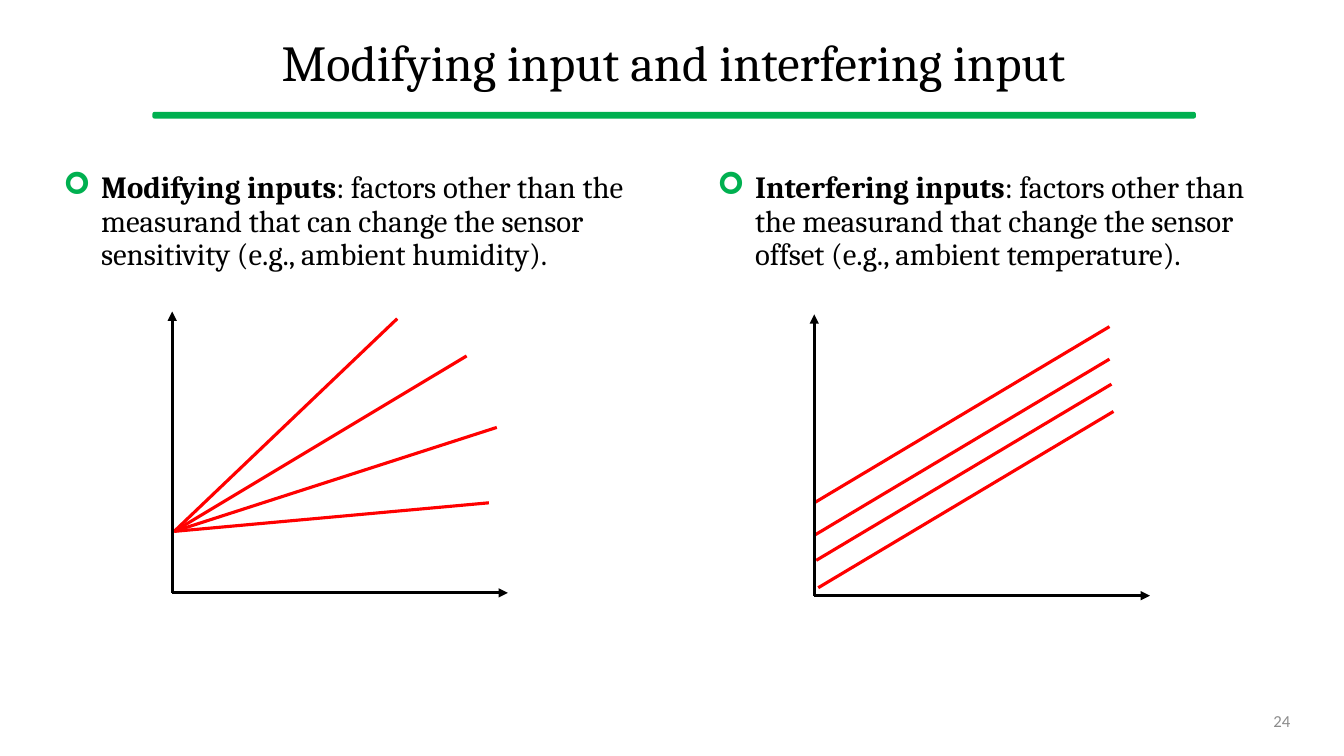
import pptx
import pptx.util
import pptx.dml.color
import pptx.enum.shapes
import pptx.enum.text
import pptx.oxml
import pptx.oxml.ns
from pptx.util import Cm, Pt

HEX = {"ink": "000000", "green": "00B050", "red": "FF0000", "gray": "8C8C8C"}
TITLE = "Modifying input and interfering input"
PAGE = "24"
RAY = (0.05, 1.55)  # shared start of the fan of lines
RUN, RISE = 7.44, 4.44  # shared slope of the parallel lines
STARTS = [(0, 2.34), (0, 1.52), (0.05, 0.89), (0.1, 0.2)]

# Each side: text box, runs (text, bold), graph origin, lines measured from it
SIDES = [
    {
        "box": (1.35, 4.22, 15.72, 4.14),
        "runs": [
            ("Modifying inputs", True),
            (": factors other than the measurand that can change the sensor "
             "sensitivity (e.g., ambient humidity).", False),
        ],
        "zero": (4.34, 14.94),
        "lines": [(RAY, end) for end in
                  [(5.67, 6.91), (7.98, 2.27), (8.18, 4.17), (7.42, 5.97)]],
    },
    {
        "box": (17.83, 4.22, 14.63, 2.79),
        "runs": [
            ("Interfering inputs", True),
            (": factors other than the measurand that change the sensor "
             "offset (e.g., ambient temperature).", False),
        ],
        "zero": (20.52, 15.01),
        "lines": [((x, y), (x + RUN, y + RISE)) for x, y in STARTS],
    },
]
AXES = [(0, 7.09), (8.46, 0)]


def color(name):
    return pptx.dml.color.RGBColor.from_string(HEX[name])


def add_node(parent, tag, **attrs):
    node = pptx.oxml.parse_xml(f"<a:{tag} {pptx.oxml.ns.nsdecls('a')}/>")
    for key, value in attrs.items():
        node.set(key, value)
    parent.append(node)
    return node


def add_run(para, text, size, name="ink", face="Cambria", bold=False):
    run = para.add_run()
    run.text = text
    run.font.size = Pt(size)
    run.font.name = face
    run.font.bold = bold
    run.font.color.rgb = color(name)


def add_box(slide, box):
    frame = slide.shapes.add_textbox(*map(Cm, box)).text_frame
    frame.word_wrap = True
    return frame


def add_bullet(para):
    props = para._p.get_or_add_pPr()
    props.set("marL", str(Cm(0.95)))
    props.set("indent", str(-Cm(0.95)))
    add_node(add_node(props, "buClr"), "srgbClr", val=HEX["green"])
    add_node(props, "buFont", typeface="Wingdings")
    add_node(props, "buChar", char="➢")
    para.line_spacing = 0.9


def add_line(slide, zero, start, end, name, arrow=False):
    ends = [Cm(v) for x, y in (start, end) for v in (zero[0] + x, zero[1] - y)]
    line = slide.shapes.add_connector(
        pptx.enum.shapes.MSO_CONNECTOR.STRAIGHT, *ends)
    line.line.color.rgb = color(name)
    line.line.width = Pt(2.25)
    if arrow:
        add_node(line.line._get_or_add_ln(), "tailEnd", type="triangle")
    add_node(line._element.spPr, "effectLst")


def main():
    deck = pptx.Presentation()
    deck.slide_width, deck.slide_height = Cm(33.87), Cm(19.05)
    slide = deck.slides.add_slide(deck.slide_layouts[5])

    # Title and rule below it
    title = slide.shapes.title
    title.left, title.top, title.width, title.height = map(
        Cm, (1.19, 0.46, 31.57, 2.39))
    title.text_frame.vertical_anchor = pptx.enum.text.MSO_ANCHOR.MIDDLE
    para = title.text_frame.paragraphs[0]
    para.alignment = pptx.enum.text.PP_ALIGN.CENTER
    para.line_spacing = 0.9
    add_run(para, TITLE, 36)

    rule = slide.shapes.add_shape(
        pptx.enum.shapes.MSO_SHAPE.ROUNDED_RECTANGLE,
        *map(Cm, (3.86, 2.84, 26.26, 0.13)))
    rule.adjustments[0] = 0.26
    rule.shadow.inherit = False
    rule.fill.solid()
    rule.fill.fore_color.rgb = color("green")
    rule.line.color.rgb = color("green")
    rule.line.width = Pt(1)

    # Text and graph on each side
    for side in SIDES:
        para = add_box(slide, side["box"]).paragraphs[0]
        add_bullet(para)
        for text, bold in side["runs"]:
            add_run(para, text, 22, bold=bold)
        for start, end in side["lines"]:
            add_line(slide, side["zero"], start, end, "red")
        for end in AXES:
            add_line(slide, side["zero"], (0, 0), end, "ink", arrow=True)

    # Page number
    frame = add_box(slide, (23.93, 17.65, 8.84, 1.02))
    frame.vertical_anchor = pptx.enum.text.MSO_ANCHOR.MIDDLE
    para = frame.paragraphs[0]
    para.alignment = pptx.enum.text.PP_ALIGN.RIGHT
    add_run(para, PAGE, 12, "gray", "Calibri")

    deck.save("out.pptx")


if __name__ == "__main__":
    main()
